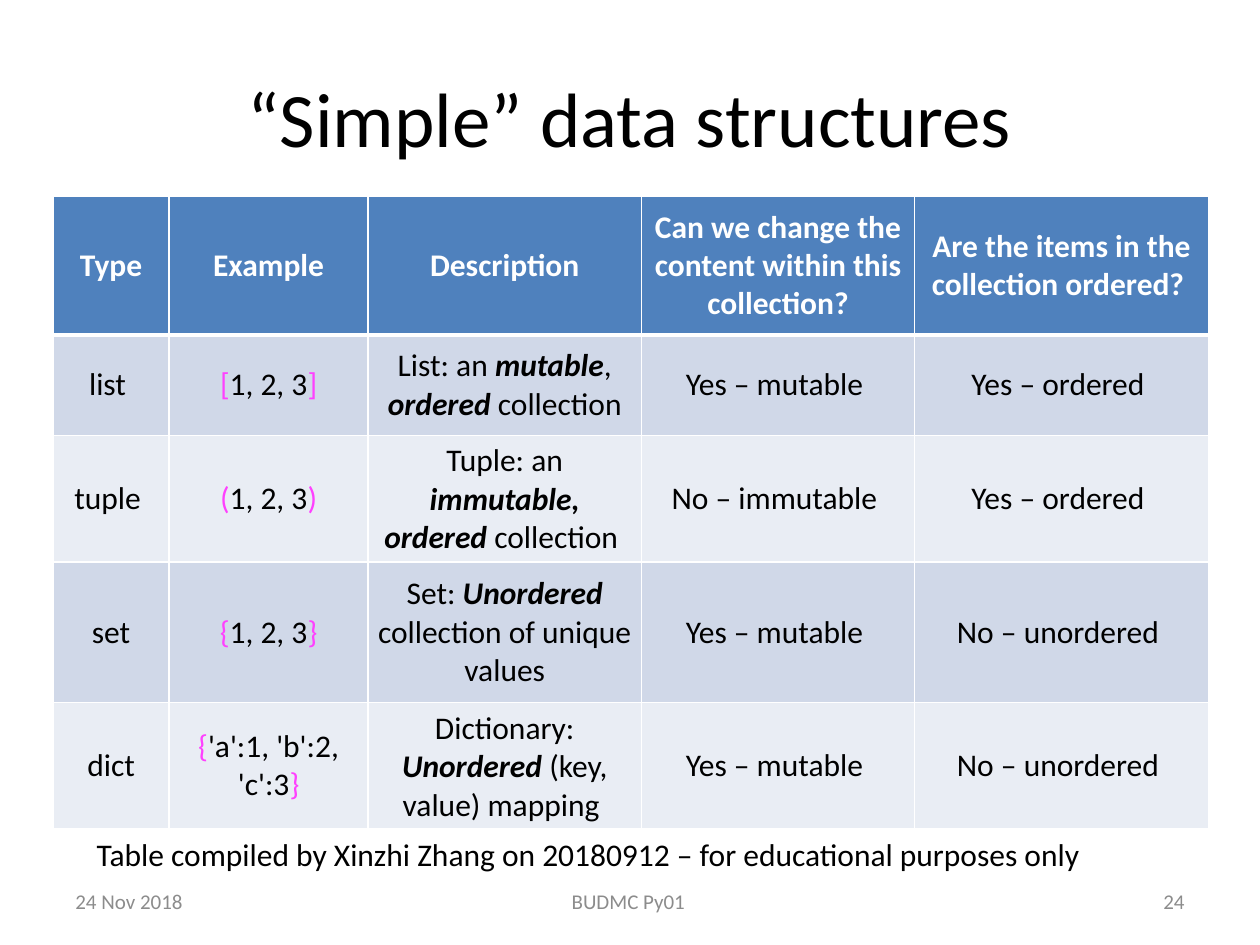
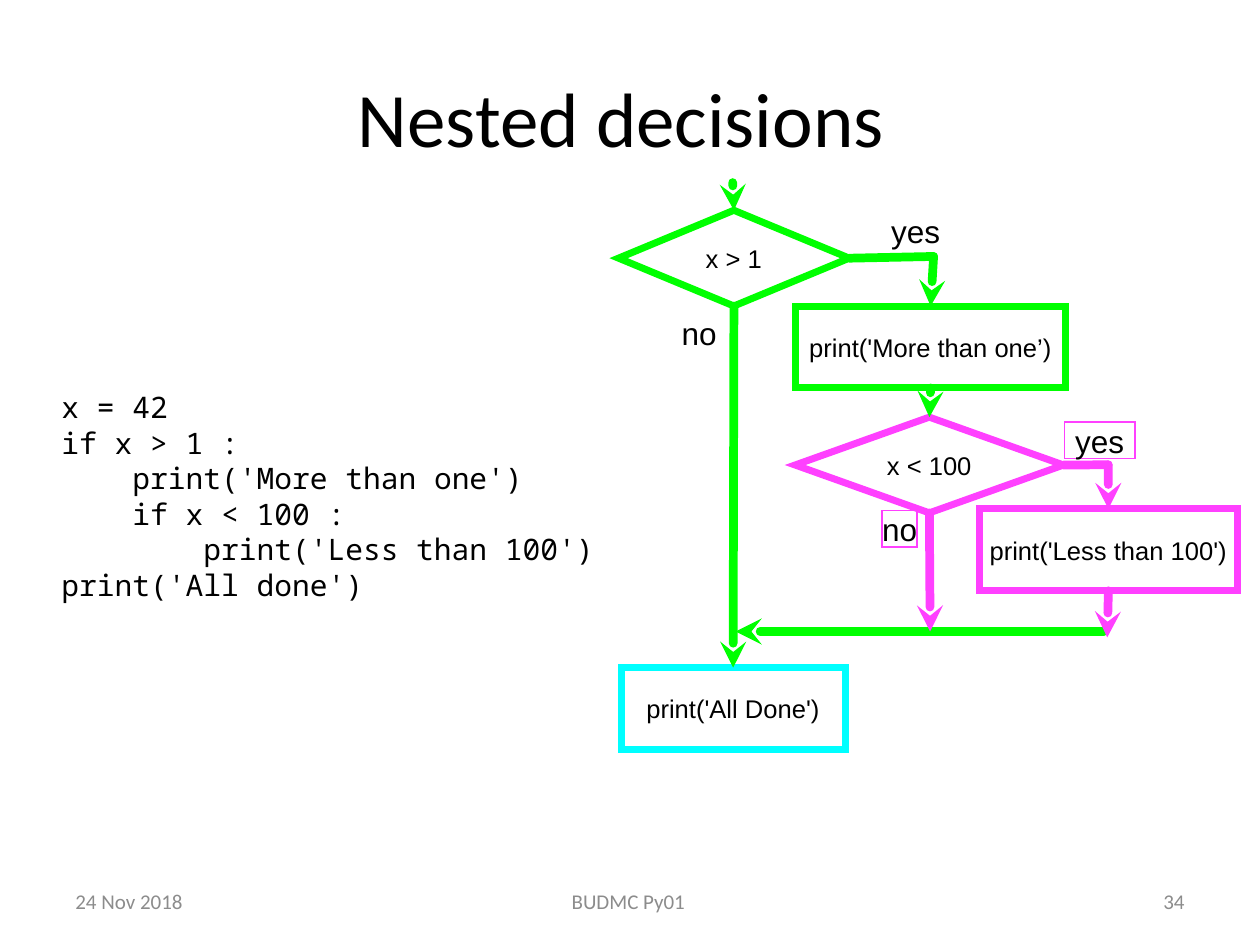
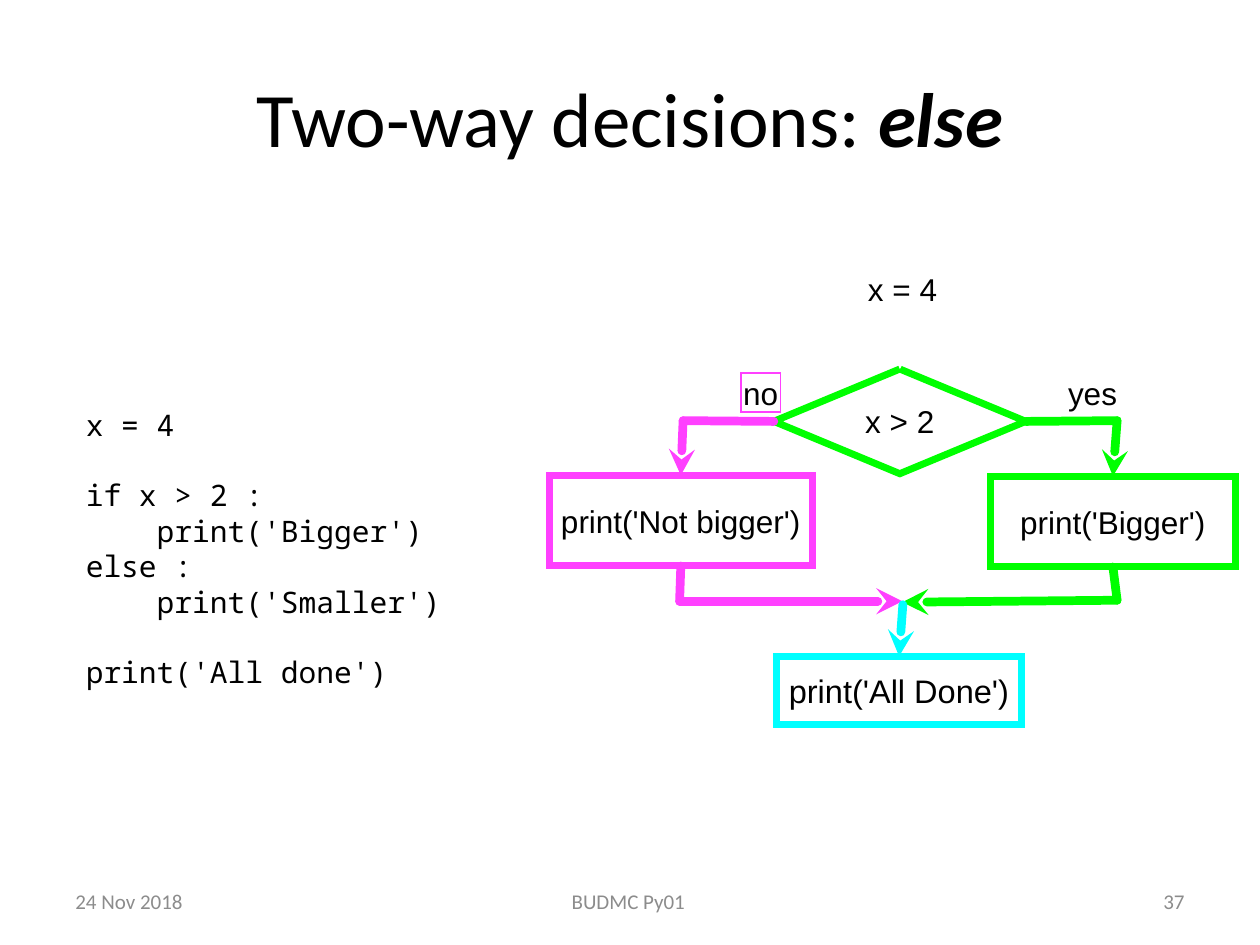
"""Build three lecture slides on Python data structures and decisions."""
from lxml.etree import SubElement as Sub
from pptx import Presentation
from pptx.dml.color import RGBColor as Rgb
from pptx.enum.shapes import MSO_CONNECTOR as Conn, MSO_SHAPE as Kind
from pptx.enum.text import MSO_ANCHOR as Anchor, PP_ALIGN as Align
from pptx.oxml.ns import qn
from pptx.util import Cm, Pt


class Theme:
    ink, white, grey = "000000", "FFFFFF", "8C8C8C"
    green, pink, cyan = "00FF00", "FF40FF", "00FFFF"
    head, bands = "4F81BD", ("E9EDF4", "D0D8E8")
    sans, label, mono = "Calibri", "Arial", "Noto Sans Mono"
    title, body, code, small, foot = 44, 18, 16.9, 14.6, 12
    done = 18.6
    edge, thin, link = 4, 0.75, 5
    indent, gap = 1.43, 20


T = Theme
ZERO = dict.fromkeys(("margin_left", "margin_right", "margin_top", "margin_bottom"), 0)
CELL = {"margin_left": Cm(0.15), "margin_right": Cm(0.15), "margin_top": Cm(0.13),
        "margin_bottom": Cm(0.13), "vertical_anchor": Anchor.MIDDLE}

DATE, COURSE = "24 Nov 2018", "BUDMC Py01 "
NOTE = "Table compiled by Xinzhi Zhang on 20180912 – for educational purposes only"
COLS = (2.34, 4.01, 5.51, 5.51, 5.92)
ROWS = (2.79, 2.03, 1.98, 2.84, 2.03)
GRID = [
    ("Type", "Example", "Description", "Can we change the content within this collection?",
     "Are the items in the collection ordered? "),
    ("list ", ("", "[", "1, 2, 3", "]"),
     ("List: an ", "mutable", ", ", "ordered ", "collection"),
     "Yes – mutable ", "Yes – ordered "),
    ("tuple ", ("", "(", "1, 2, 3", ")"),
     ("Tuple: an ", "immutable, ordered", " collection "),
     "No – immutable ", "Yes – ordered "),
    ("set", ("", "{", "1, 2, 3", "}"),
     ("Set: ", "Unordered ", "collection of unique values"),
     "Yes – mutable ", "No – unordered "),
    ("dict", ("", "{", "'a':1, 'b':2, 'c':3", "}"),
     ("Dictionary: ", "Unordered", " (key, value) mapping "),
     "Yes – mutable ", "No – unordered "),
]

NESTED = {
    "title": "Nested decisions ", "page": "34",
    "box": (1.24, 7.39, 10.87, 5.21),
    "code": [(0, "x = 42"), (0, "if x > 1 :"), (1, "print('More than one')"),
             (1, "if x < 100 :"), (2, "print('Less than 100')"), (0, "print('All done')")],
    "gaps": (),
    "nodes": {
        "ask": (Kind.DIAMOND, "x > 1", T.green, T.small, (12.47, 4.24, 4.65, 1.93)),
        "more": (Kind.RECTANGLE, "print('More than one’)", T.green, T.small,
                 (16.03, 6.17, 5.46, 1.65)),
        "next": (Kind.DIAMOND, "x < 100", T.pink, T.small, (16.03, 8.41, 5.41, 1.93)),
        "less": (Kind.RECTANGLE, "print('Less than 100')", T.pink, T.small,
                 (19.74, 10.26, 5.21, 1.65)),
        "done": (Kind.RECTANGLE, "print('All Done')", T.cyan, T.small,
                 (12.52, 13.46, 4.52, 1.65)),
    },
    "tags": [("yes", None, (17.75, 4.29, 1.42, 0.74)), ("yes", T.pink, (21.46, 8.51, 1.42, 0.74)),
             ("no", T.pink, (17.78, 10.29, 0.71, 0.74)), ("no", None, (13.74, 6.35, 0.71, 0.74))],
    "links": [
        ((14.77, 3.68), ("ask", 0), T.green, True),
        (("ask", 3), (18.82, 5.17), T.green, False),
        ((18.82, 5.17), ("more", 0), T.green, True),
        (("ask", 2), ("done", 0), T.green, True),
        (("next", 3), (22.34, 9.37), T.pink, False),
        ((22.34, 9.37), ("less", 0), T.pink, True),
        (("more", 2), ("next", 0), T.green, True),
        ((22.25, 12.73), (14.83, 12.73), T.green, True),
        (("next", 2), (18.75, 12.73), T.pink, True),
        (("less", 2), (22.32, 12.85), T.pink, True),
    ],
}
TWOWAY = {
    "title": ("Two-way decisions: ", "else"), "page": "37",
    "box": (1.73, 7.92, 7.52, 6.27),
    "code": [(0, "x = 4"), (0, "if x > 2 :"), (1, "print('Bigger')"), (0, "else :"),
             (1, "print('Smaller')"), (0, "print('All done')")],
    "gaps": (1, 5),
    "nodes": {
        "ask": (Kind.DIAMOND, "x > 2", T.green, T.body, (15.6, 7.44, 5.08, 2.11)),
        "big": (Kind.RECTANGLE, "print('Bigger')", T.green, T.body, (19.96, 9.6, 4.95, 1.83)),
        "start": (Kind.RECTANGLE, "x = 4", T.white, T.body, (15.72, 5.13, 4.95, 1.37)),
        "not": (Kind.RECTANGLE, "print('Not bigger')", T.pink, T.body,
                (11.07, 9.58, 5.31, 1.83)),
        "done": (Kind.RECTANGLE, "print('All Done')", T.cyan, T.done,
                 (15.65, 13.23, 4.95, 1.37)),
    },
    "tags": [("yes", None, (21.39, 7.52, 1.27, 0.79)), ("no", T.pink, (14.94, 7.52, 0.79, 0.79))],
    "links": [
        (("ask", 3), (22.52, 8.48), T.green, False),
        ((22.52, 8.48), ("big", 0), T.green, True),
        ((22.52, 12.1), (18.19, 12.14), T.green, True),
        (("big", 2), (22.52, 12.1), T.green, False),
        (("start", 2), ("ask", 0), T.white, True),
        (("ask", 1), (13.77, 8.48), T.pink, False),
        ((13.77, 8.48), ("not", 0), T.pink, True),
        ((13.7, 12.12), (18.19, 12.12), T.pink, True),
        (("not", 2), (13.7, 12.12), T.pink, False),
        ((18.2, 12.19), ("done", 0), T.cyan, True),
    ],
}


def form(obj, vals):
    for key, val in vals.items():
        setattr(obj, key, val)


def cms(nums):
    return [Cm(n) for n in nums]


def write(para, text, size, face=T.sans, ink=T.ink, align=Align.CENTER, bold=False, hue=None):
    """Write text; odd pieces take the accent: a hue, or else bold italic."""
    para.alignment = align
    for i, piece in enumerate((text,) if isinstance(text, str) else text):
        if not piece:
            continue
        odd = i % 2 == 1
        strong = odd and not hue
        run = para.add_run()
        run.text = piece
        form(run.font, {"name": face, "size": Pt(size), "bold": bold or strong, "italic": strong})
        run.font.color.rgb = Rgb.from_string(hue if odd and hue else ink)


def label(slide, box, text, size, wrap=True, anchor=Anchor.MIDDLE, **look):
    frame = slide.shapes.add_textbox(*cms(box)).text_frame
    form(frame, {"word_wrap": wrap, "vertical_anchor": anchor})
    write(frame.paragraphs[0], text, size, **look)


def page(deck, title, num):
    slide = deck.slides.add_slide(deck.slide_layouts[6])
    label(slide, (1.27, 0.76, 22.86, 3.18), title, T.title)
    for left, wide, text, align in ((1.27, 5.92, DATE, Align.LEFT),
                                    (8.69, 8.05, COURSE, Align.CENTER),
                                    (18.21, 5.92, num, Align.RIGHT)):
        label(slide, (left, 17.65, wide, 1.02), text, T.foot, ink=T.grey, align=align)
    return slide


def border(cell, row):
    props = cell._tc.get_or_add_tcPr()
    for side in "LRTB":
        thick = (row, side) in ((0, "B"), (1, "T"))
        line = Sub(props, qn(f"a:ln{side}"), w=str(Pt(3 if thick else 1)))
        Sub(Sub(line, qn("a:solidFill")), qn("a:srgbClr"), val=T.white)


def table(slide):
    box = cms((1.07, 3.96, sum(COLS), sum(ROWS)))
    grid = slide.shapes.add_table(len(ROWS), len(COLS), *box).table
    for col, wide in zip(grid.columns, COLS):
        col.width = Cm(wide)
    for r, (row, high) in enumerate(zip(GRID, ROWS)):
        grid.rows[r].height = Cm(high)
        for c, text in enumerate(row):
            cell = grid.cell(r, c)
            form(cell, CELL)
            border(cell, r)
            cell.fill.solid()
            cell.fill.fore_color.rgb = Rgb.from_string(T.bands[r % 2] if r else T.head)
            write(cell.text_frame.paragraphs[0], text, T.body, bold=r == 0,
                  ink=T.ink if r else T.white, hue=T.pink if c == 1 else None)


def code(slide, box, lines, gaps):
    frame = slide.shapes.add_textbox(*cms(box)).text_frame
    form(frame, ZERO | {"word_wrap": False, "vertical_anchor": Anchor.MIDDLE})
    for i, (depth, text) in enumerate(lines):
        para = frame.add_paragraph() if i else frame.paragraphs[0]
        write(para, text, T.code, face=T.mono, align=Align.LEFT)
        para._p.get_or_add_pPr().set("marL", str(Cm(T.indent * depth)))
        if i in gaps:
            para.space_before = Pt(T.gap)


def node(slide, kind, text, hue, size, box, edge=T.edge):
    shape = slide.shapes.add_shape(kind, *cms(box))
    shape.shadow.inherit = False
    shape.fill.background()
    if hue:
        shape.line.color.rgb = Rgb.from_string(hue)
        shape.line.width = Pt(edge)
        Sub(shape.line._get_or_add_ln(), qn("a:miter"), lim="800000")
    else:
        shape.line.fill.background()
    form(shape.text_frame, ZERO | {"word_wrap": False, "vertical_anchor": Anchor.MIDDLE})
    write(shape.text_frame.paragraphs[0], text, size, face=T.label)
    return shape


def link(slide, nodes, start, end, hue, arrow):
    ends = [(0, 0) if isinstance(p[0], str) else p for p in (start, end)]
    line = slide.shapes.add_connector(Conn.STRAIGHT, *cms(ends[0] + ends[1]))
    for spot, join in ((start, line.begin_connect), (end, line.end_connect)):
        if isinstance(spot[0], str):
            join(nodes[spot[0]], spot[1])
    line.line.color.rgb = Rgb.from_string(hue)
    line.line.width = Pt(T.link)
    pen = line.line._get_or_add_ln()
    pen.set("cap", "rnd")
    if arrow:
        Sub(pen, qn("a:tailEnd"), type="stealth")
    Sub(line._element.spPr, qn("a:effectLst"))


def flow(deck, data):
    slide = page(deck, data["title"], data["page"])
    code(slide, data["box"], data["code"], data["gaps"])
    nodes = {name: node(slide, *part) for name, part in data["nodes"].items()}
    for text, hue, box in data["tags"]:
        node(slide, Kind.RECTANGLE, text, hue, T.body, box, T.thin)
    for part in data["links"]:
        link(slide, nodes, *part)


def main():
    deck = Presentation()
    form(deck, {"slide_width": Cm(25.4), "slide_height": Cm(19.05)})
    first = page(deck, "“Simple” data structures", "24")
    table(first)
    label(first, (1.7, 16.71, 20.6, 1.02), NOTE, T.body, wrap=False,
          anchor=Anchor.TOP, align=Align.LEFT)
    for data in (NESTED, TWOWAY):
        flow(deck, data)
    deck.save("out.pptx")


if __name__ == "__main__":
    main()
